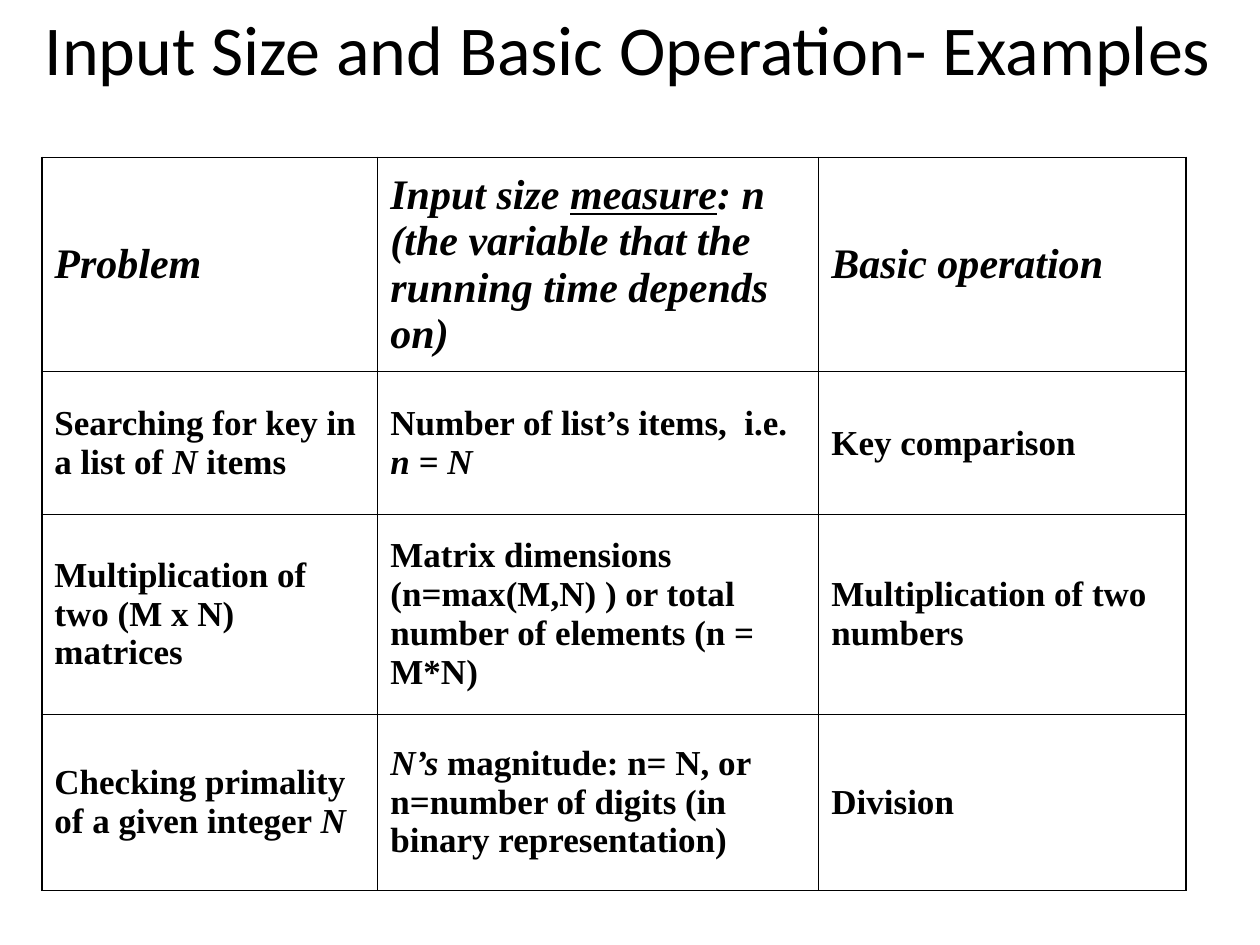
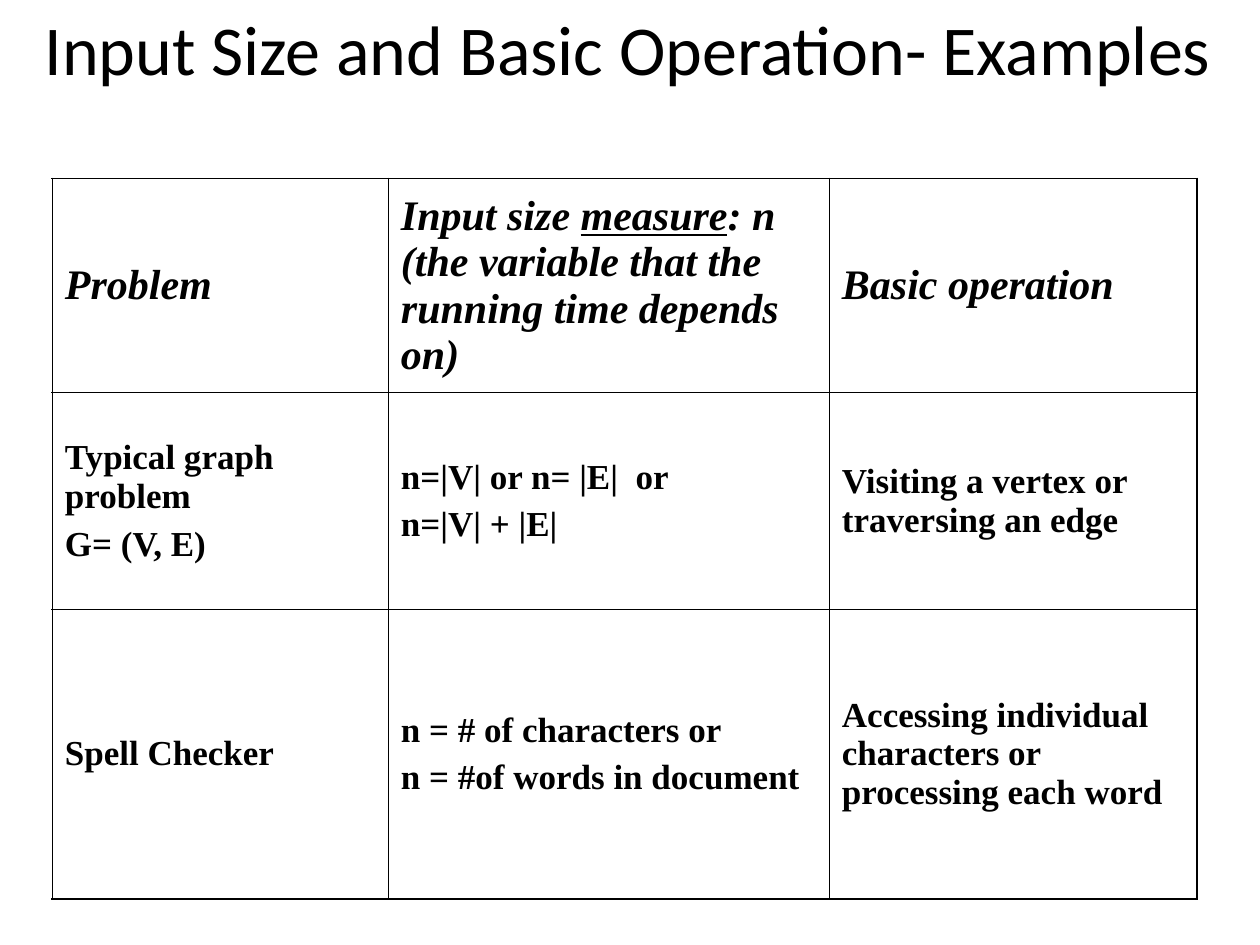
from dataclasses import dataclass

from lxml.etree import SubElement
from pptx import Presentation
from pptx.dml.color import RGBColor
from pptx.enum.text import MSO_ANCHOR, PP_ALIGN
from pptx.oxml.ns import qn
from pptx.util import Pt


@dataclass(frozen=True)
class Theme:
    ink: str = "000000"
    title_font: str = "Calibri"
    table_font: str = "Times New Roman"
    title_size: int = 40
    header_size: int = 24
    body_size: int = 20
    paragraph_gap: int = 5
    outer_line: float = 1.08
    inner_line: float = 0.45


THEME = Theme()
TITLE = "Input Size and Basic Operation- Examples"
COLUMN_WIDTHS = (192, 252, 210)


def italic(text):
    return text, {"italic": True}


# A cell is a list of paragraphs, a paragraph is a list of runs
HEADER = [
    [["Problem"]],
    [["Input size ", ("measure", {"underline": True}),
      ": n (the variable that the running time depends on)"]],
    [["Basic operation"]],
]

NUMBER_PROBLEMS = [
    [
        [["Searching for key in a list of ", italic("N"), " items"]],
        [["Number of list’s items,  i.e. ", italic("n = N")]],
        [["Key comparison"]],
    ],
    [
        [["Multiplication of two (M x N) matrices"]],
        [["Matrix dimensions (n=max(M,N) ) or total number of elements (n = M*N)"]],
        [["Multiplication of two numbers"]],
    ],
    [
        [["Checking primality of a given integer ", italic("N")]],
        [[italic("N’s "),
          "magnitude: n= N, or n=number of digits (in binary representation)"]],
        [["Division"]],
    ],
]

GRAPH_AND_TEXT_PROBLEMS = [
    [
        [["Typical graph problem"], ["G= (V, E)"]],
        [["n=|V| or n= |E|  or"], ["n=|V| + |E|"]],
        [["Visiting a vertex or traversing an edge"]],
    ],
    [
        [["Spell Checker"]],
        [["n = # of characters or"], ["n = #of words in document"]],
        [["Accessing individual characters or processing each word"]],
    ],
]


def add_run(p, text, *, font, size, bold=False, italic=False, underline=False):
    r = p.add_run()
    r.text = text
    r.font.name = font
    r.font.size = Pt(size)
    r.font.bold = bold
    r.font.italic = italic
    r.font.underline = underline
    r.font.color.rgb = RGBColor.from_string(THEME.ink)


def add_title(s, text):
    sp = s.shapes.add_textbox(Pt(18.5), Pt(0), Pt(701), Pt(54))
    tf = sp.text_frame
    tf.word_wrap = True
    tf.margin_top = tf.margin_bottom = Pt(0)
    tf.vertical_anchor = MSO_ANCHOR.MIDDLE
    p = tf.paragraphs[0]
    p.alignment = PP_ALIGN.LEFT
    add_run(p, text, font=THEME.title_font, size=THEME.title_size)


def set_borders(cell, **widths):
    tcPr = cell._tc.get_or_add_tcPr()
    for side in ("L", "R", "T", "B"):
        ln = SubElement(tcPr, qn(f"a:ln{side}"), w=str(Pt(widths[side])))
        fill = SubElement(ln, qn("a:solidFill"))
        SubElement(fill, qn("a:srgbClr"), val=THEME.ink)


def fill_cell(cell, paragraphs, **style):
    cell.vertical_anchor = MSO_ANCHOR.MIDDLE
    cell.fill.background()
    tf = cell.text_frame
    for i, runs in enumerate(paragraphs):
        p = tf.add_paragraph() if i else tf.paragraphs[0]
        if i:
            p.space_before = Pt(THEME.paragraph_gap)
        for run in runs:
            text, emphasis = (run, {}) if isinstance(run, str) else run
            add_run(p, text, **{**style, **emphasis})


def add_examples_table(s, left, top, heights, body, bottom_line):
    rows = [HEADER, *body]
    table = s.shapes.add_table(len(rows), len(COLUMN_WIDTHS), Pt(left), Pt(top),
                               Pt(sum(COLUMN_WIDTHS)), Pt(sum(heights))).table
    table.first_row = table.horz_banding = False
    for column, width in zip(table.columns, COLUMN_WIDTHS):
        column.width = Pt(width)
    for row, height in zip(table.rows, heights):
        row.height = Pt(height)

    outer, inner = THEME.outer_line, THEME.inner_line
    last_row, last_column = len(rows) - 1, len(COLUMN_WIDTHS) - 1
    for i, row in enumerate(rows):
        for j, paragraphs in enumerate(row):
            cell = table.cell(i, j)
            set_borders(cell,
                        L=inner if j else outer,
                        R=outer if j == last_column else inner,
                        T=inner if i else outer,
                        B=bottom_line if i == last_row else inner)
            fill_cell(cell, paragraphs, font=THEME.table_font, bold=True, italic=i == 0,
                      size=THEME.body_size if i else THEME.header_size)


def add_examples_slide(prs, **table):
    s = prs.slides.add_slide(prs.slide_layouts[6])
    add_title(s, TITLE)
    add_examples_table(s, **table)


def main():
    prs = Presentation()
    prs.slide_width, prs.slide_height = Pt(720), Pt(540)

    # Searching, matrices and primality
    add_examples_slide(prs, left=23.9, top=90, heights=(122.4, 81.6, 114, 100.8),
                       body=NUMBER_PROBLEMS, bottom_line=THEME.inner_line)

    # Graphs and spell checking
    add_examples_slide(prs, left=29.9, top=102, heights=(122.4, 123.8, 165.4),
                       body=GRAPH_AND_TEXT_PROBLEMS, bottom_line=THEME.outer_line)

    prs.save("out.pptx")


if __name__ == "__main__":
    main()
